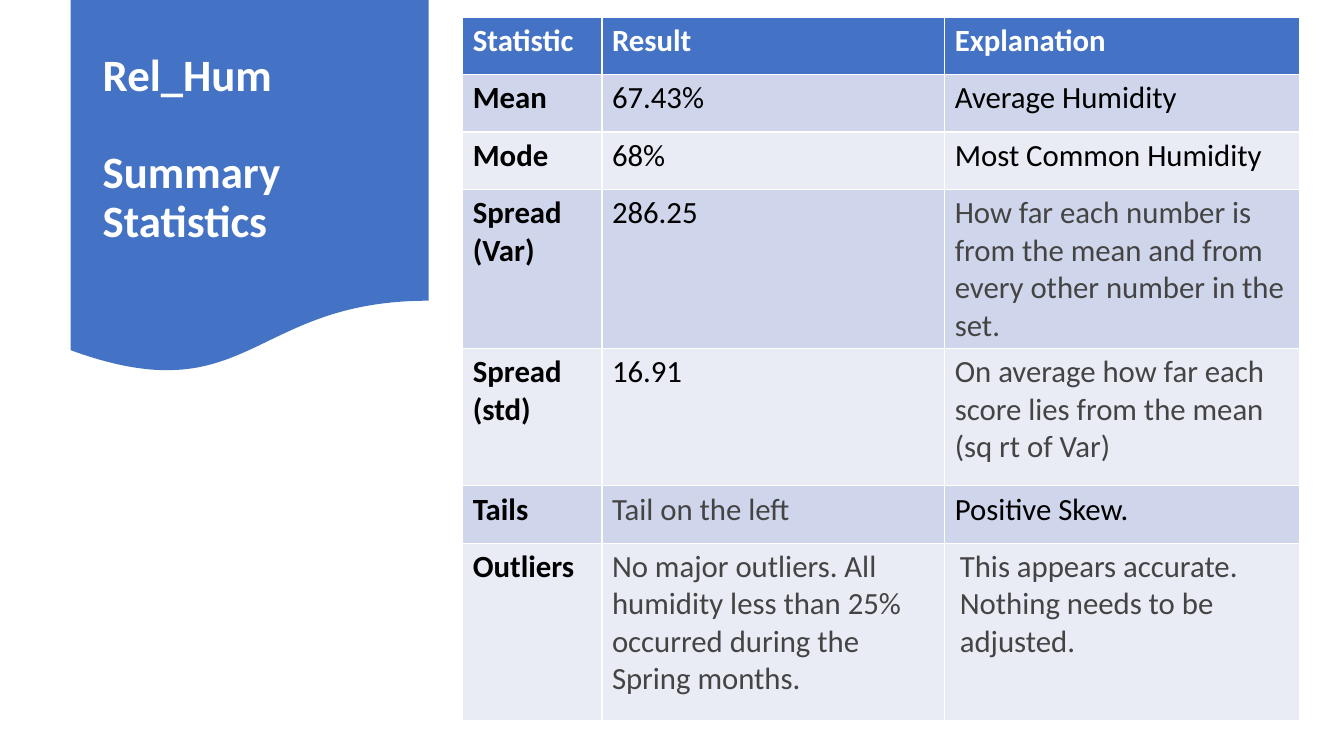
from pptx import Presentation
from pptx.dml.color import RGBColor
from pptx.enum.shapes import MSO_SHAPE
from pptx.enum.text import MSO_ANCHOR
from pptx.util import Inches, Pt

WAVE = MSO_SHAPE.FLOWCHART_DOCUMENT
MIDDLE = MSO_ANCHOR.MIDDLE

# Content
BLUE, WHITE, BLACK, GREY = "4472C4", "FFFFFF", "000000", "444444"
BANDS = ["CFD5EA", "E9EBF5"]
TITLE = ["Rel_Hum", "Summary Statistics"]
HEAD = ["Statistic", "Result", "Explanation"]
# Each row: statistic, result, explanation, result colour, explanation colour
ROWS = [
    ("Mean", "67.43%", "Average Humidity", BLACK, BLACK),
    ("Mode", "68%", "Most Common Humidity", BLACK, BLACK),
    ("Spread (Var)", "286.25",
     "How far each number is from the mean and from every other number "
     "in the set.", BLACK, GREY),
    ("Spread (std)", "16.91",
     "On average how far each score lies from the mean (sq rt of\u00a0Var)",
     BLACK, GREY),
    ("Tails", "Tail on the left", "Positive Skew.", GREY, BLACK),
    ("Outliers",
     "No major outliers.\u00a0All humidity less than 25% occurred during "
     "the Spring months.",
     "This appears accurate.\u00a0 Nothing needs\u00a0to be adjusted.",
     GREY, GREY),
]
WIDTHS = [1.38, 3.4, 3.52]
LOW = 0.57
HEIGHTS = [LOW, LOW, LOW, 1.58, 1.36, LOW, 1.76]


def paint(fill, color):
    fill.solid()
    fill.fore_color.rgb = RGBColor.from_string(color)


def write(frame, *lines, size=22, color=BLACK, bold=False, pitch=None, gap=0):
    frame.word_wrap = True
    for i, line in enumerate(lines):
        para = frame.add_paragraph() if i else frame.paragraphs[0]
        para.line_spacing = pitch
        if i and gap:
            para.space_before = Pt(gap)
        run = para.add_run()
        run.text = line
        font = run.font
        font.name, font.size, font.bold = "Calibri", Pt(size), bold
        font.color.rgb = RGBColor.from_string(color)


deck = Presentation()
deck.slide_width, deck.slide_height = Inches(13.33), Inches(7.5)
slide = deck.slides.add_slide(deck.slide_layouts[6])
shapes = slide.shapes

# Banner with its title
flag = shapes.add_shape(WAVE, Inches(0.7), 0, Inches(3.55), Inches(3.72))
flag.shadow.inherit = False
paint(flag.fill, BLUE)
flag.line.fill.background()

title = shapes.add_textbox(Inches(0.92), Inches(0.19), Inches(3.11), Inches(2.59))
title.text_frame.vertical_anchor = MIDDLE
write(title.text_frame, *TITLE, size=32, color=WHITE, bold=True, pitch=0.9, gap=35)

# Statistics table
table = shapes.add_table(
    len(HEIGHTS), len(WIDTHS), Inches(4.59), Inches(0.17),
    Inches(sum(WIDTHS)), Inches(sum(HEIGHTS))).table
for col, width in zip(table.columns, WIDTHS):
    col.width = Inches(width)
for row, height in zip(table.rows, HEIGHTS):
    row.height = Inches(height)

for c, text in enumerate(HEAD):
    cell = table.cell(0, c)
    paint(cell.fill, BLUE)
    write(cell.text_frame, text, color=WHITE, bold=True)

for r, (*texts, mid, last) in enumerate(ROWS):
    for c, (text, color) in enumerate(zip(texts, (BLACK, mid, last))):
        cell = table.cell(r + 1, c)
        paint(cell.fill, BANDS[r % 2])
        write(cell.text_frame, text, color=color, bold=c == 0)

# The closing remark is slightly indented
table.cell(len(ROWS), 2).margin_left = Inches(0.15)

deck.save("out.pptx")
